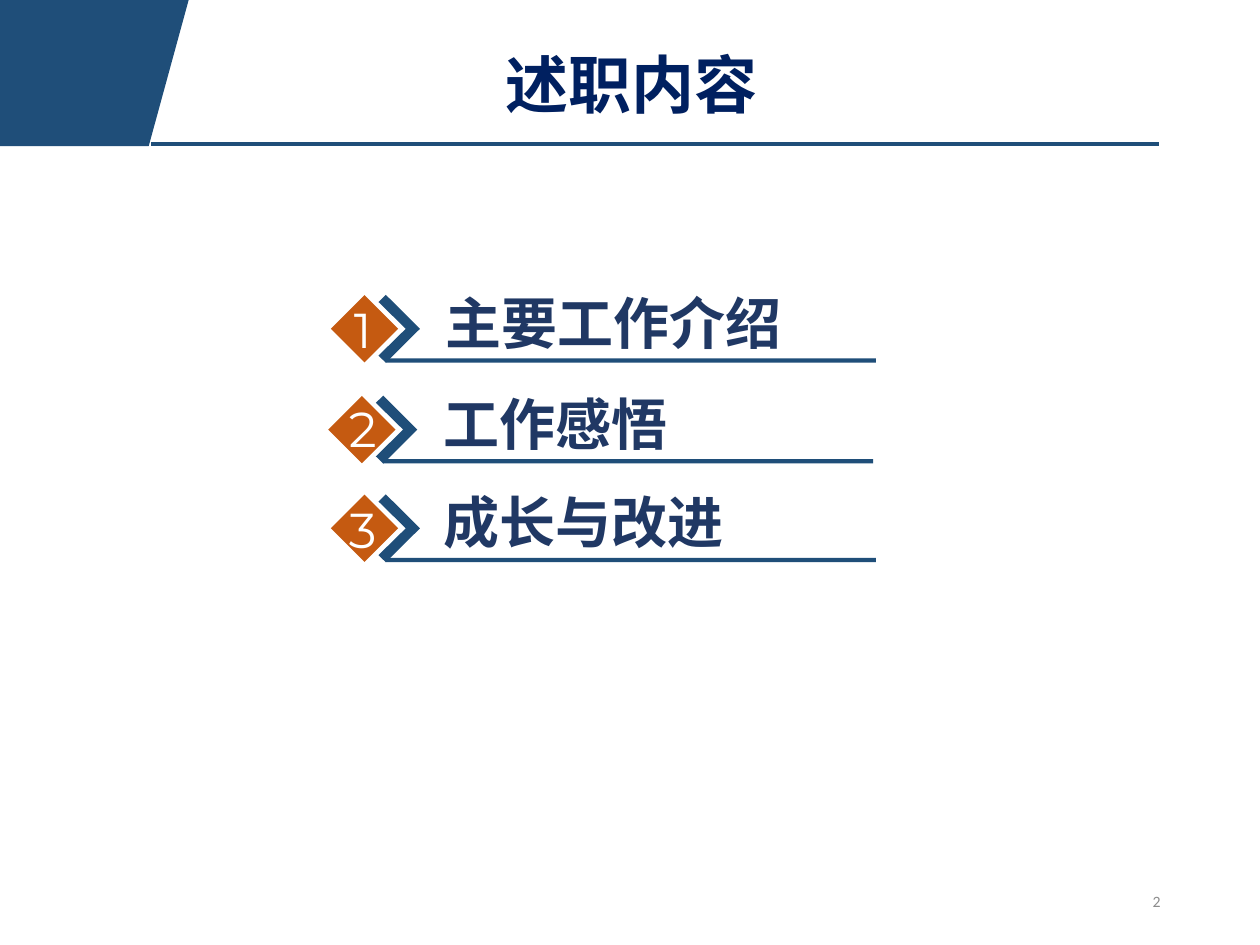
from dataclasses import dataclass

import lxml.etree
import pptx
import pptx.dml.color
import pptx.enum.shapes
import pptx.enum.text
import pptx.oxml.ns
import pptx.util

Pt = pptx.util.Pt
Align = pptx.enum.text.PP_ALIGN
Anchor = pptx.enum.text.MSO_ANCHOR
RECTANGLE = pptx.enum.shapes.MSO_SHAPE.RECTANGLE

COLOURS = {
    "blue": "1F4E79",
    "orange": "C55A11",
    "title": "002060",
    "label": "203864",
    "white": "FFFFFF",
    "grey": "8C8C8C",
}
CHINESE_FONT = "Noto Sans CJK SC"
DIAMOND_SIDE = 27.2
CHEVRON = [(12.2, -19.4), (31.7, 0), (12.2, 19.4), (8, 15.3), (23.6, 0), (8, -15.3)]
CORNER = [(0, 0), (108, -0.6), (85, 83.6), (0, 83.6)]


@dataclass
class AgendaItem:
    number: str
    label: str
    centre_x: float
    centre_y: float
    number_top: float
    label_left: float


@dataclass
class TextStyle:
    font: str
    size: float
    colour: str
    bold: bool = False
    align: Align = Align.LEFT


TITLE = TextStyle(CHINESE_FONT, 36, "title", True, Align.CENTER)
LABEL = TextStyle(CHINESE_FONT, 32, "label", True)
NUMBER = TextStyle("Montserrat", 28, "white", align=Align.CENTER)
PAGE = TextStyle("Calibri", 9, "grey", align=Align.RIGHT)

AGENDA = [
    AgendaItem("1", "主要工作介绍", 208.3, 187.9, 167.8, 247.7),
    AgendaItem("2", "工作感悟", 206.8, 245.5, 223.9, 246.2),
    AgendaItem("3", "成长与改进", 208.3, 301.9, 282.2, 246.2),
]


def colour(name: str) -> pptx.dml.color.RGBColor:
    return pptx.dml.color.RGBColor.from_string(COLOURS[name])


def paint(shape, name: str) -> None:
    """Give a shape a plain fill with no outline or shadow."""
    shape.fill.solid()
    shape.fill.fore_color.rgb = colour(name)
    shape.line.fill.background()
    shape.shadow.inherit = False


def write(paragraph, text: str, style: TextStyle) -> None:
    paragraph.alignment = style.align
    run = paragraph.add_run()
    run.text = text
    run.font.name = style.font
    run.font.size = Pt(style.size)
    run.font.bold = style.bold
    run.font.color.rgb = colour(style.colour)
    east_asian = lxml.etree.Element(pptx.oxml.ns.qn("a:ea"), typeface=style.font)
    run.font._element.find(pptx.oxml.ns.qn("a:latin")).addnext(east_asian)


def add_text(shapes, text: str, style: TextStyle, left: float, top: float,
             width: float, height: float, wrap: bool = True,
             anchor: Anchor = Anchor.TOP) -> None:
    frame = shapes.add_textbox(Pt(left), Pt(top), Pt(width), Pt(height)).text_frame
    frame.word_wrap = wrap
    frame.vertical_anchor = anchor
    write(frame.paragraphs[0], text, style)


def add_outline(shapes, points: list, left: float = 0, top: float = 0) -> None:
    """Draw a closed blue polygon whose points are relative to left and top."""
    corners = [(Pt(left + x), Pt(top + y)) for x, y in points]
    builder = shapes.build_freeform(*corners[0])
    builder.add_line_segments(corners[1:], close=True)
    paint(builder.convert_to_shape(), "blue")


def add_rectangle(shapes, name: str, left: float, top: float,
                  width: float, height: float, rotation: float = 0) -> None:
    shape = shapes.add_shape(RECTANGLE, Pt(left), Pt(top), Pt(width), Pt(height))
    shape.rotation = rotation
    paint(shape, name)


def add_agenda_item(slide, item: AgendaItem) -> None:
    shapes = slide.shapes.add_group_shape().shapes
    x, y = item.centre_x, item.centre_y
    add_outline(shapes, CHEVRON, x, y)
    add_rectangle(shapes, "orange", x - DIAMOND_SIDE / 2, y - DIAMOND_SIDE / 2,
                  DIAMOND_SIDE, DIAMOND_SIDE, 45)
    add_text(shapes, item.number, NUMBER, 190.8, item.number_top, 33, 41, wrap=False)
    add_rectangle(shapes, "blue", x + 12.2, y + 16.9, 280, 2.4)
    add_text(shapes, item.label, LABEL, item.label_left, y - 26.6, 252, 46)


def add_header(slide) -> None:
    add_outline(slide.shapes, CORNER)
    rule = slide.shapes.add_connector(
        pptx.enum.shapes.MSO_CONNECTOR.STRAIGHT, Pt(86.4), Pt(82.2), Pt(662.4), Pt(82.2))
    rule.line.color.rgb = colour("blue")
    rule.line.width = Pt(2.25)
    lxml.etree.SubElement(rule._element.spPr, pptx.oxml.ns.qn("a:effectLst"))

    title = slide.shapes.title
    title.left, title.top, title.width, title.height = Pt(165), Pt(16.6), Pt(392), Pt(67)
    title.text_frame.vertical_anchor = Anchor.MIDDLE
    paragraph = title.text_frame.paragraphs[0]
    paragraph.line_spacing = 0.9
    write(paragraph, "述职内容", TITLE)


def main() -> None:
    presentation = pptx.Presentation()
    presentation.slide_width, presentation.slide_height = Pt(720), Pt(540)
    slide = presentation.slides.add_slide(presentation.slide_layouts[5])
    add_header(slide)
    for item in AGENDA:
        add_agenda_item(slide, item)
    add_text(slide.shapes, "2", PAGE, 508.3, 500.4, 162, 28.8, anchor=Anchor.MIDDLE)
    presentation.save("out.pptx")


if __name__ == "__main__":
    main()
